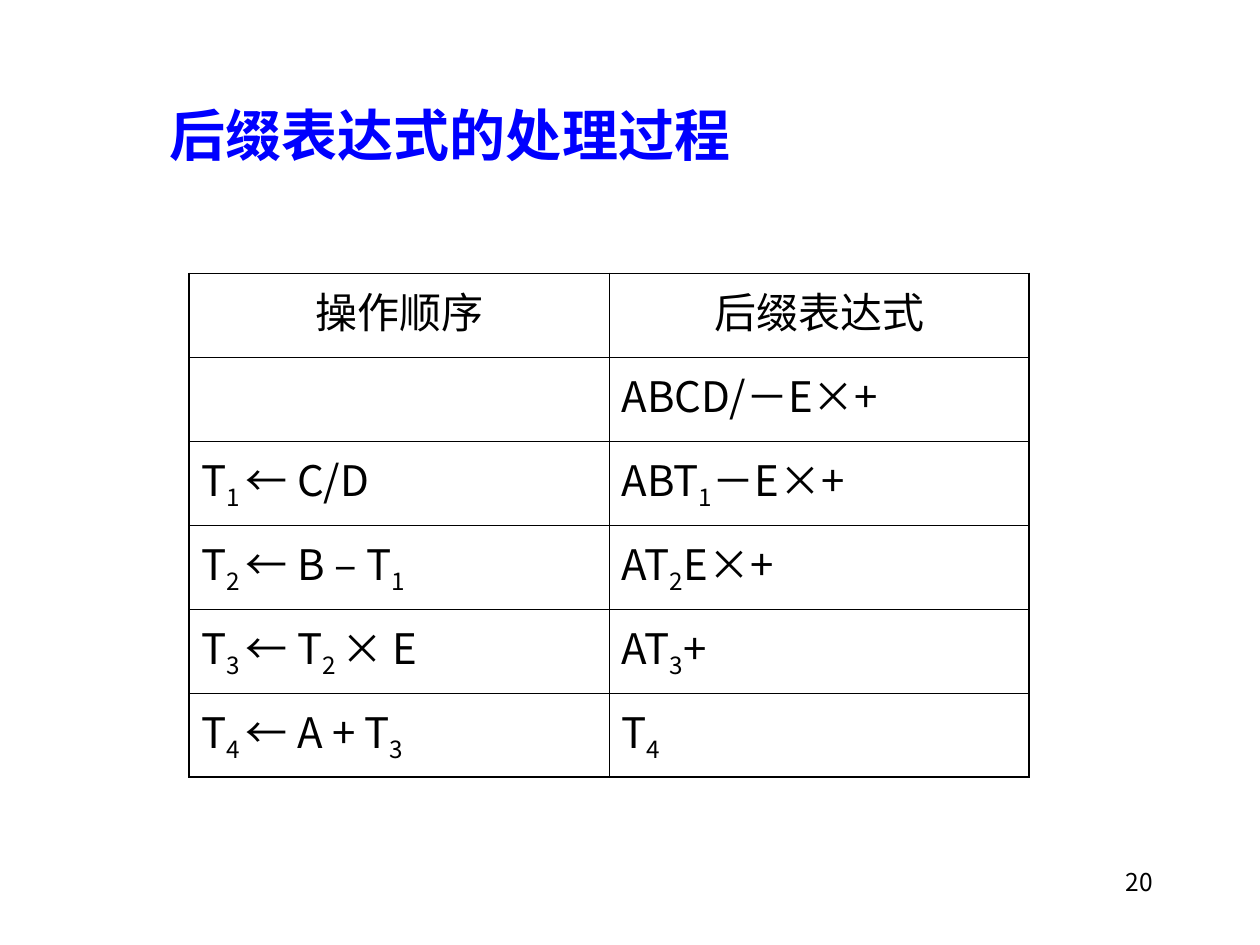
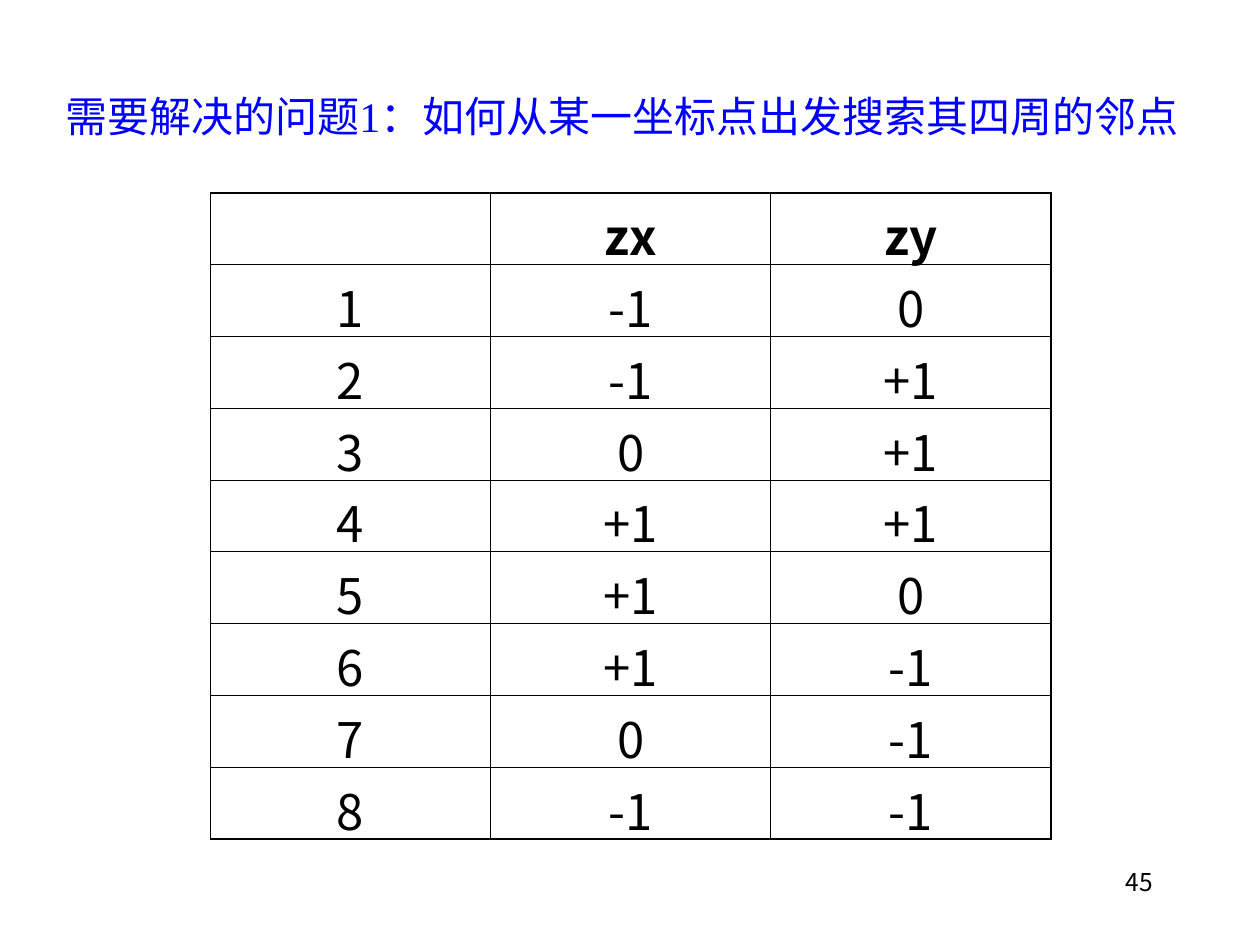
from dataclasses import dataclass

from lxml.etree import SubElement
from pptx import Presentation
from pptx.dml.color import RGBColor
from pptx.enum.text import MSO_AUTO_SIZE, PP_ALIGN
from pptx.oxml.ns import qn
from pptx.util import Inches, Pt

BLACK, BLUE = "000000", "0000FF"
SANS, SERIF = "Noto Sans CJK JP", "Times New Roman"
THIN, THICK = 0.45, 1.08


@dataclass
class Style:
    """Look of one paragraph."""
    size: float
    font: str = SANS
    color: str = BLACK
    bold: bool = False
    align: PP_ALIGN = PP_ALIGN.LEFT
    before: float = 0


@dataclass
class Label:
    """Text in a box given as left, top, width, height."""
    text: str
    box: tuple
    style: Style
    wrap: bool = True


@dataclass
class Grid:
    """Table with equal rows and columns, a head style and a body style."""
    rows: list
    box: tuple
    head: Style
    body: Style


def paint(code: str) -> RGBColor:
    """Turn a hex string into a colour."""
    return RGBColor.from_string(code)


def write(para, text: str, style: Style) -> None:
    """Add runs; every second part between underscores is a subscript."""
    para.alignment = style.align
    para.space_before = Pt(style.before)
    for spot, part in enumerate(text.split("_")):
        if not part:
            continue
        run = para.add_run()
        run.text = part
        font = run.font
        font.size, font.name, font.bold = Pt(style.size), style.font, style.bold
        font.color.rgb = paint(style.color)
        props = run._r.get_or_add_rPr()
        if style.font == SANS:
            SubElement(props, qn("a:ea")).set("typeface", SANS)
        if spot % 2:
            props.set("baseline", "-25000")


def put_label(slide, label: Label) -> None:
    """Draw a text box."""
    frame = slide.shapes.add_textbox(*map(Inches, label.box)).text_frame
    frame.word_wrap = label.wrap
    if not label.wrap:
        frame.auto_size = MSO_AUTO_SIZE.SHAPE_TO_FIT_TEXT
    write(frame.paragraphs[0], label.text, label.style)


def edge(cell, side: str, width: float) -> None:
    """Draw one border of a cell."""
    line = SubElement(cell._tc.get_or_add_tcPr(), qn(f"a:ln{side}"), w=str(Pt(width)))
    fill = SubElement(line, qn("a:solidFill"))
    SubElement(fill, qn("a:srgbClr"), val=BLACK)


def put_grid(slide, grid: Grid) -> None:
    """Draw a table with a thick frame and thin inner lines."""
    high, wide = len(grid.rows), len(grid.rows[0])
    table = slide.shapes.add_table(high, wide, *map(Inches, grid.box)).table
    table.first_row = table.horz_banding = False
    for row, texts in enumerate(grid.rows):
        for col, text in enumerate(texts):
            cell = table.cell(row, col)
            outer = {"L": col == 0, "R": col == wide - 1,
                     "T": row == 0, "B": row == high - 1}
            for side, thick in outer.items():
                edge(cell, side, THICK if thick else THIN)
            cell.fill.background()
            if text:
                style = grid.body if row else grid.head
                write(cell.text_frame.paragraphs[0], text, style)


def add_page(deck, title: Label, grid: Grid, number: int) -> None:
    """Add a slide with title, table and page number."""
    slide = deck.slides.add_slide(deck.slide_layouts[6])
    put_label(slide, title)
    put_grid(slide, grid)
    foot = Style(14, align=PP_ALIGN.RIGHT, before=8.8)
    put_label(slide, Label(str(number), (7.17, 6.83, 2.08, 0.5), foot))


def main() -> None:
    """Build the deck."""
    deck = Presentation()
    deck.slide_width, deck.slide_height = Inches(10), Inches(7.5)
    mid = PP_ALIGN.CENTER

    steps = [
        ("操作顺序", "后缀表达式"),
        ("", "ABCD/－E×+"),
        ("T_1 _← C/D", "ABT_1_－E×+"),
        ("T_2 _← B – T_1", "AT_2_E×+"),
        ("T_3 _← T_2 _× E", "AT_3_+"),
        ("T_4 _← A + T_3", "T_4"),
    ]
    add_page(
        deck,
        Label("后缀表达式的处理过程", (1.25, 0.75, 4.65, 0.64),
              Style(32, SERIF, BLUE, bold=True), wrap=False),
        Grid(steps, (1.5, 2.17, 6.67, 4),
             Style(24, align=mid, before=6), Style(24, before=6)),
        20,
    )

    moves = [("-1", "0"), ("-1", "+1"), ("0", "+1"), ("+1", "+1"),
             ("+1", "0"), ("+1", "-1"), ("0", "-1"), ("-1", "-1")]
    near = [("", "zx", "zy")]
    near += [(str(rank), *move) for rank, move in enumerate(moves, 1)]
    add_page(
        deck,
        Label("需要解决的问题1：如何从某一坐标点出发搜索其四周的邻点",
              (0.42, 0.67, 9.19, 0.5),
              Style(24, SERIF, BLUE, before=15), wrap=False),
        Grid(near, (1.67, 1.53, 6.67, 5.13),
             Style(28, bold=True, align=mid, before=7),
             Style(28, align=mid, before=7)),
        45,
    )
    deck.save("out.pptx")


if __name__ == "__main__":
    main()
